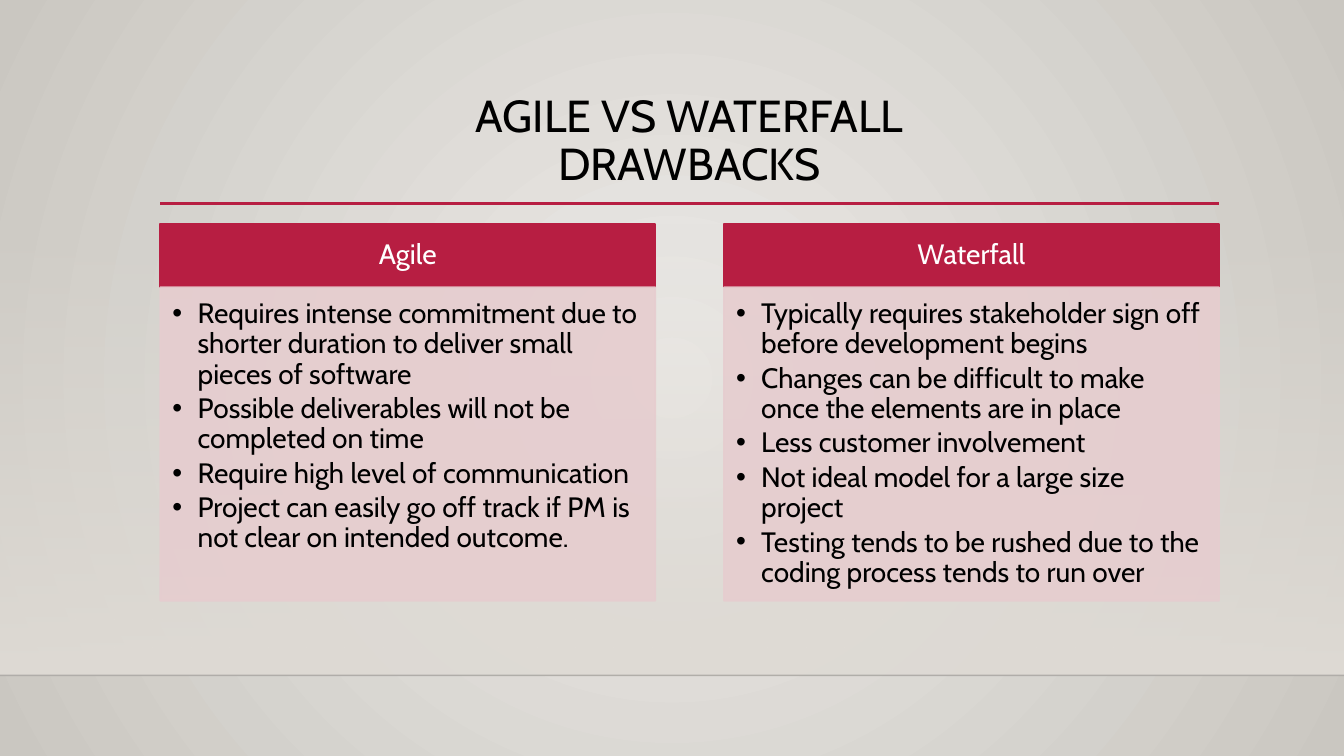
"""Build the slide comparing the drawbacks of Agile and Waterfall."""
from lxml import etree
from pptx import Presentation
from pptx.dml.color import RGBColor
from pptx.enum.shapes import MSO_CONNECTOR, MSO_SHAPE
from pptx.enum.text import MSO_ANCHOR, MSO_AUTO_SIZE, PP_ALIGN
from pptx.oxml.ns import qn
from pptx.util import Inches, Pt

COLORS = {
    "crimson": "B71E42", "pink": "E6CDCF", "black": "000000", "white": "FFFFFF",
    "glow": "ECEAE7", "edge": "CAC7C1", "wall": "DFDBD5", "floor_line": "000001",
}
FONT = "Cabin"
LEFT, COLUMN_WIDTH, COLUMN_STEP = 1.59, 4.91, 5.59
HEADER_TOP, HEADER_HEIGHT, LIST_HEIGHT = 2.22, 0.63, 3.11
DRAWBACKS = {
    "Agile": [
        "Requires intense commitment due to shorter duration to deliver small pieces of software",
        "Possible deliverables will not be completed on time",
        "Require high level of communication",
        "Project can easily go off track if PM is not clear on intended outcome.",
    ],
    "Waterfall": [
        "Typically requires stakeholder sign off before development begins",
        "Changes can be difficult to make once the elements are in place",
        "Less customer involvement",
        "Not ideal model for a large size project",
        "Testing tends to be rushed due to the coding process tends to run over",
    ],
}


class SlideBuilder:
    def __init__(self, slide):
        self.slide = slide

    def color(self, name):
        return RGBColor.from_string(COLORS[name])

    def set_alpha(self, element, percent):
        for color in element.iter(qn("a:srgbClr")):
            etree.SubElement(color, qn("a:alpha"), val=str(percent * 1000))

    def gradient(self, fill, start, end):
        fill.gradient()
        for stop, name in zip(fill.gradient_stops, (start, end)):
            stop.color.rgb = self.color(name)

    def background(self, center, edge):
        self.gradient(self.slide.background.fill, center, edge)
        linear = next(self.slide.element.iter(qn("a:lin")))
        path = etree.Element(qn("a:path"), path="circle")
        sides = dict.fromkeys("ltrb", "50000")
        etree.SubElement(path, qn("a:fillToRect"), sides)
        linear.getparent().replace(linear, path)

    def fading_band(self, name, left, top, width, height):
        band = self.slide.shapes.add_shape(
            MSO_SHAPE.RECTANGLE, Inches(left), Inches(top), Inches(width), Inches(height))
        band.shadow.inherit = False
        band.line.fill.background()
        self.gradient(band.fill, name, name)
        band.fill.gradient_angle = 270
        self.set_alpha(next(band.element.iter(qn("a:gs"))), 0)

    def rule(self, name, left, right, top, weight, alpha=100):
        line = self.slide.shapes.add_connector(
            MSO_CONNECTOR.STRAIGHT, Inches(left), Inches(top), Inches(right), Inches(top))
        line.line.color.rgb = self.color(name)
        line.line.width = Pt(weight)
        etree.SubElement(line.element.spPr, qn("a:effectLst"))
        if alpha < 100:
            self.set_alpha(line.element, alpha)

    def text(self, index, box, lines, size, color, anchor, margins, bullets=False):
        holder = self.slide.placeholders[index]
        holder.element.getparent().append(holder.element)
        holder.left, holder.top, holder.width, holder.height = map(Inches, box)
        frame = holder.text_frame
        frame.text = "\n".join(lines)
        frame.word_wrap = True
        frame.auto_size = MSO_AUTO_SIZE.NONE
        frame.vertical_anchor = anchor
        (frame.margin_left, frame.margin_top,
         frame.margin_right, frame.margin_bottom) = map(Inches, margins)
        for paragraph in frame.paragraphs:
            paragraph.alignment = PP_ALIGN.LEFT if bullets else PP_ALIGN.CENTER
            paragraph.line_spacing = 0.9
            paragraph.space_before = Pt(0)
            paragraph.space_after = Pt(3 if bullets else 0)
            indent = Inches(0.25) if bullets else 0
            properties = paragraph._p.get_or_add_pPr()
            properties.set("marL", str(indent))
            properties.set("indent", str(-indent))
            if bullets:
                etree.SubElement(properties, qn("a:buFont"), typeface="Arial")
                etree.SubElement(properties, qn("a:buChar"), char="•")
            else:
                etree.SubElement(properties, qn("a:buNone"))
            for run in paragraph.runs:
                run.font.name, run.font.size, run.font.bold = FONT, Pt(size), False
                run.font.color.rgb = self.color(color)
        return holder

    def panel(self, holder, name, alpha=100):
        holder.fill.solid()
        holder.fill.fore_color.rgb = self.color(name)
        holder.line.color.rgb = self.color(name)
        holder.line.width = Pt(1.25)
        if alpha < 100:
            self.set_alpha(holder.element.spPr, alpha)


presentation = Presentation()
presentation.slide_width, presentation.slide_height = Inches(13.33), Inches(7.5)
comparison_layout = presentation.slide_layouts.get_by_name("Comparison")
builder = SlideBuilder(presentation.slides.add_slide(comparison_layout))

builder.background("glow", "edge")
builder.fading_band("wall", 0, 2.21, 13.33, 4.49)
builder.rule("floor_line", 0, 13.33, 6.7, 1, alpha=20)
builder.rule("crimson", LEFT, 12.09, 2.02, 2.5)
builder.text(0, (LEFT, 0.88, 10.5, 1.15), ["AGILE VS WATERFALL\vDRAWBACKS"],
             32, "black", MSO_ANCHOR.TOP, (0.1, 0.05, 0.1, 0.05))

for column, (method, points) in enumerate(DRAWBACKS.items()):
    left = LEFT + column * COLUMN_STEP
    header = builder.text(
        1 + 2 * column, (left, HEADER_TOP, COLUMN_WIDTH, HEADER_HEIGHT), [method],
        20, "white", MSO_ANCHOR.MIDDLE, (0.16, 0.09, 0.16, 0.09))
    builder.panel(header, "crimson")
    body = builder.text(
        2 + 2 * column, (left, HEADER_TOP + HEADER_HEIGHT, COLUMN_WIDTH, LIST_HEIGHT), points,
        20, "black", MSO_ANCHOR.TOP, (0.12, 0.12, 0.16, 0.17), bullets=True)
    builder.panel(body, "pink", alpha=90)

presentation.save("out.pptx")
